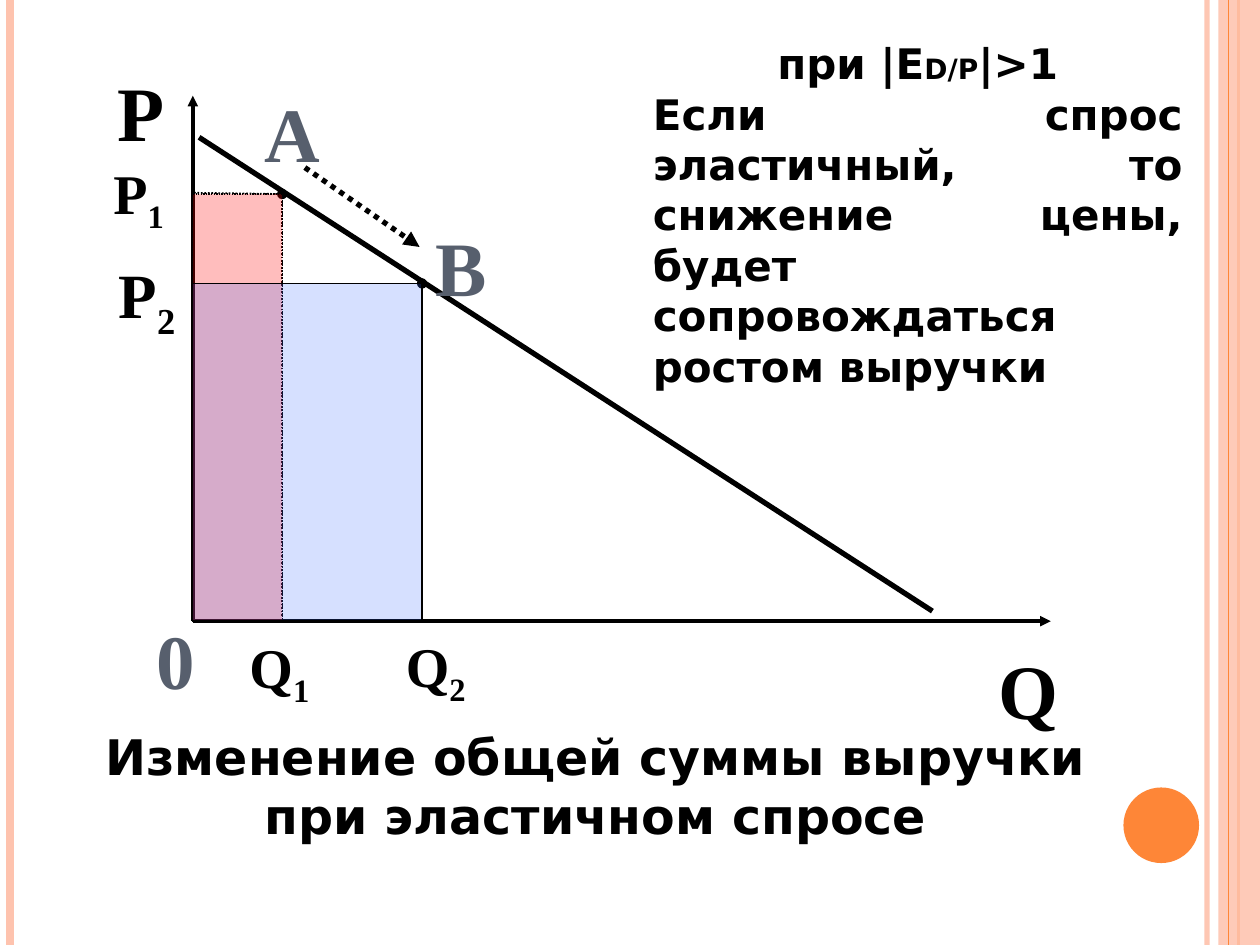
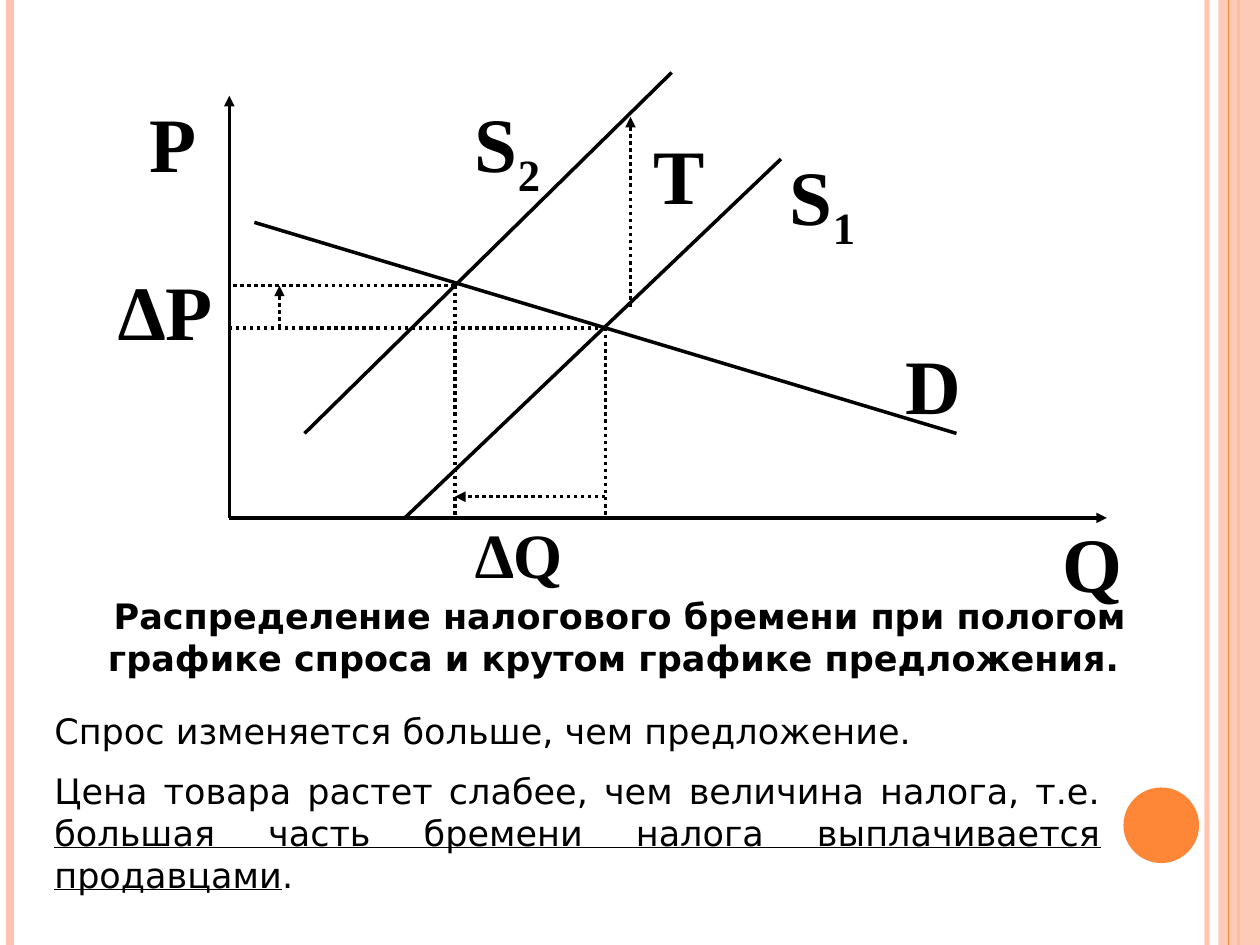
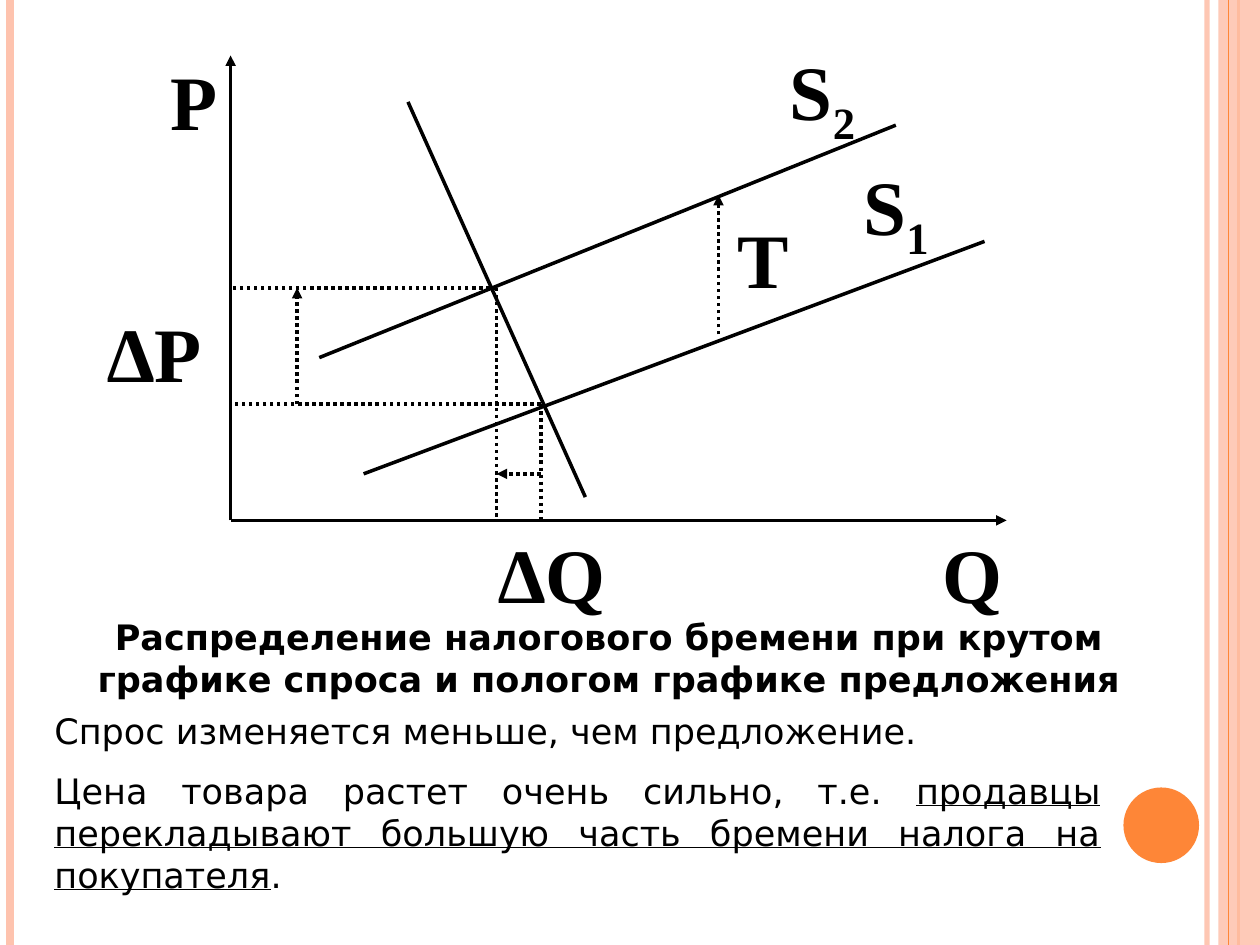
"""Build three slides on demand elasticity and the tax burden."""
from dataclasses import dataclass
from typing import NamedTuple, Optional

from lxml.etree import SubElement
from pptx import Presentation
from pptx.dml.color import RGBColor
from pptx.enum.dml import MSO_LINE
from pptx.enum.shapes import MSO_CONNECTOR, MSO_SHAPE
from pptx.enum.text import MSO_ANCHOR, PP_ALIGN
from pptx.oxml.ns import qn
from pptx.util import Inches, Pt

BLACK = RGBColor(0x00, 0x00, 0x00)
SLATE = RGBColor(0x57, 0x5F, 0x6D)
PEACH = RGBColor(0xFE, 0xC3, 0xAE)
ORANGE = RGBColor(0xFE, 0x86, 0x37)
RED = RGBColor(0xFF, 0x00, 0x00)
BLUE = RGBColor(0x33, 0x66, 0xFF)
BODY_FONT = "DejaVu Sans"
LABEL_FONT = "Times New Roman"
SLIDE_WIDTH = Inches(10)
SLIDE_HEIGHT = Inches(7.5)
COLUMNS, ROWS = 120, 90


@dataclass(frozen=True)
class Grid:
    """A grid with its origin and the inches taken by one column and one row."""
    left: float
    top: float
    column: float
    row: float

    def point(self, column: float, row: float) -> tuple:
        """Return the place of a grid crossing."""
        return Inches(self.left + column * self.column), Inches(self.top + row * self.row)


class Stroke(NamedTuple):
    """The look of a line."""
    width: float
    color: RGBColor = BLACK
    dotted: bool = False
    tail: Optional[str] = None
    opacity: int = 100


class Segment(NamedTuple):
    """A straight line between two grid crossings."""
    start: tuple
    end: tuple
    stroke: Stroke


class Piece(NamedTuple):
    """A stretch of text with one format."""
    text: str
    size: float
    bold: bool = False
    underline: bool = False
    subscript: bool = False
    color: RGBColor = BLACK
    font: str = BODY_FONT


class Label(NamedTuple):
    """A letter beside the graph, with an optional subscript."""
    box: tuple
    letter: str
    index: str = ""
    size: float = 44
    color: RGBColor = BLACK


class Area(NamedTuple):
    """A revenue rectangle spanned from the graph's origin."""
    quantity: float
    price: float
    color: RGBColor
    opacity: int
    outline: Stroke


class Graph(NamedTuple):
    """The lines and letters of one graph."""
    grid: Grid
    segments: list
    labels: list
    label_align: PP_ALIGN = PP_ALIGN.LEFT


PAGE = Grid(0, 0, 10 / COLUMNS, 7.5 / ROWS)
AXIS = Stroke(2, tail="triangle")
CURVE = Stroke(2)
DEMAND = Stroke(3)
GUIDE = Stroke(2, dotted=True)
SHIFT = Stroke(2, dotted=True, tail="triangle")
MOVE = Stroke(3, dotted=True, tail="triangle")
FINE_GUIDE = Stroke(1, dotted=True)
FINE_POINT = Stroke(1, dotted=True, tail="oval")

BORDERS = [
    (0.958, Stroke(3, PEACH, opacity=93)),
    (0.008, Stroke(4.5, PEACH)),
    (0.983, Stroke(1.5, ORANGE)),
]
INNER_BORDER = (0.975, Stroke(0.75, ORANGE))

REVENUE_GRAPH = Graph(
    Grid(1.53, 4.93, 0.1, -0.1),
    [
        Segment((0, 26.8), (18.2, 26.8), FINE_POINT),
        Segment((18.2, 26.8), (18.2, 0.8), FINE_GUIDE),
        Segment((8.9, 36), (18, 29.7), MOVE),
        Segment((0, 0), (0, 41.7), AXIS),
        Segment((0, 0), (68.1, 0), AXIS),
        Segment((0.5, 38.4), (58.7, 0.8), DEMAND),
        Segment((0.1, 34), (7.1, 33.9), FINE_POINT),
        Segment((7.1, 33.9), (7.1, 0.4), FINE_GUIDE),
    ],
    [
        Label((10, 24.25, 8, 7.5), "P", "2", 36),
        Label((38, 60, 7, 7.5), "Q", "2", 32),
        Label((41.25, 20.75, 4.3, 7.5), "B", color=SLATE),
        Label((25, 8, 4.3, 7.5), "A", color=SLATE),
        Label((11, 6, 4.3, 7.5), "P"),
        Label((10, 15, 6.4, 7.5), "P", "1", 32),
        Label((14.6, 58.2, 4.3, 7.5), "0", color=SLATE),
        Label((23.2, 60.1, 6.8, 7.5), "Q", "1", 32),
        Label((94.9, 61.1, 4.3, 7.5), "Q"),
    ],
    PP_ALIGN.CENTER,
)
REVENUE_AREAS = [
    Area(7.1, 33.9, RED, 26, Stroke(0.75, dotted=True)),
    Area(18.2, 26.8, BLUE, 20, Stroke(0.75)),
]


def tax_segments(before: tuple, after: tuple, tax: tuple, price_column: float,
                 quantity_row: float, axes: tuple, curves: list) -> list:
    """Return the axes, the curves and the dotted shifts of a tax graph."""
    quantity_before, price_before = before
    quantity_after, price_after = after
    tax_column, tax_bottom, tax_top = tax
    axis_columns, axis_rows = axes
    return [
        Segment((0, 0), (axis_columns, 0), AXIS),
        Segment((0, 0), (0, axis_rows), AXIS),
        *(Segment(start, end, CURVE) for start, end in curves),
        Segment(after, (0, price_after), GUIDE),
        Segment(before, (0, price_before), GUIDE),
        Segment((tax_column, tax_bottom), (tax_column, tax_top), SHIFT),
        Segment((price_column, price_before), (price_column, price_after), SHIFT),
        Segment(after, (quantity_after, 0), GUIDE),
        Segment(before, (quantity_before, 0), GUIDE),
        Segment((quantity_before, quantity_row), (quantity_after, quantity_row), SHIFT),
    ]


FLAT_DEMAND_GRAPH = Graph(
    Grid(1.82, 4.11, 0.199, -0.1675),
    tax_segments((15, 9), (9, 11), (16, 10, 19), 2, 1, (35, 20),
                 [((7, 0), (22, 17)), ((3, 4), (17.64, 21.1)), ((1, 14), (29, 4))]),
    [
        Label((62, 12, 6, 7.2), "T"),
        Label((14, 9, 4.8, 6), "P"),
        Label((11, 25, 12.8, 6), "∆P"),
        Label((45, 49, 16, 6), "∆Q", size=36),
        Label((75, 14, 7.2, 6), "S", "1"),
        Label((45, 9, 7.2, 6), "S", "2"),
        Label((86, 32, 7.2, 6), "D"),
        Label((101, 49, 10.8, 6), "Q"),
    ],
)
STEEP_DEMAND_GRAPH = Graph(
    Grid(1.83, 4.13, 0.352, -0.1845),
    tax_segments((7, 5), (6, 10), (11, 8, 14), 1.5, 2, (17.5, 20),
                 [((4, 18), (8, 1)), ((3, 2), (17, 12)), ((2, 7), (15, 17))]),
    [
        Label((75, 4, 12, 5.4), "S", "2"),
        Label((82, 15, 8.8, 4.4), "S", "1"),
        Label((70, 20, 6.4, 4.4), "T"),
        Label((89.5, 50, 6.4, 4.4), "Q"),
        Label((16, 5, 4.2, 4.4), "P"),
        Label((10, 29, 10, 4.4), "∆P"),
        Label((47.25, 50, 11.8, 4.4), "∆Q"),
    ],
)


def set_opacity(fill_parent, opacity: int) -> None:
    """Make the solid fill below an element partly transparent."""
    if opacity < 100:
        color = fill_parent.find(qn("a:solidFill"))[0]
        SubElement(color, qn("a:alpha"), val=str(opacity * 1000))


def style_line(line, stroke: Stroke) -> None:
    """Give a line its colour, width, dots and arrowhead."""
    line.color.rgb = stroke.color
    line.width = Pt(stroke.width)
    if stroke.dotted:
        line.dash_style = MSO_LINE.ROUND_DOT
    element = line._get_or_add_ln()
    set_opacity(element, stroke.opacity)
    if stroke.tail:
        SubElement(element, qn("a:tailEnd"), type=stroke.tail)


def draw_line(slide, start: tuple, end: tuple, stroke: Stroke) -> None:
    """Draw a straight line without a shadow."""
    connector = slide.shapes.add_connector(MSO_CONNECTOR.STRAIGHT, *start, *end)
    style_line(connector.line, stroke)
    SubElement(connector._element.spPr, qn("a:effectLst"))


def draw_shape(slide, kind: MSO_SHAPE, box: tuple, color: RGBColor, opacity: int = 100,
               outline: Optional[Stroke] = None) -> None:
    """Draw a filled preset shape."""
    shape = slide.shapes.add_shape(kind, *box)
    shape.shadow.inherit = False
    shape.fill.solid()
    shape.fill.fore_color.rgb = color
    set_opacity(shape._element.spPr, opacity)
    if outline:
        style_line(shape.line, outline)
    else:
        shape.line.fill.background()


def draw_text(slide, box: tuple, paragraphs: list, alignments: list,
              margins: tuple = (0.1, 0.05), space_before: float = 0) -> None:
    """Draw a wrapped text box placed in page columns and rows."""
    left, top, width, height = box
    text_box = slide.shapes.add_textbox(*PAGE.point(left, top), *PAGE.point(width, height))
    frame = text_box.text_frame
    frame.word_wrap = True
    frame.vertical_anchor = MSO_ANCHOR.TOP
    frame.margin_left = frame.margin_right = Inches(margins[0])
    frame.margin_top = frame.margin_bottom = Inches(margins[1])
    for number, (pieces, alignment) in enumerate(zip(paragraphs, alignments)):
        paragraph = frame.add_paragraph() if number else frame.paragraphs[0]
        paragraph.alignment = alignment
        if number:
            paragraph.space_before = Pt(space_before)
        for piece in pieces:
            run = paragraph.add_run()
            run.text = piece.text
            run.font.name = piece.font
            run.font.size = Pt(piece.size)
            run.font.bold = piece.bold
            run.font.underline = piece.underline
            run.font.color.rgb = piece.color
            if piece.subscript:
                run.font._element.set("baseline", "-25000")


def draw_border(slide, share: float, stroke: Stroke) -> None:
    """Draw a full-height line at a share of the slide's width."""
    left = int(SLIDE_WIDTH * share)
    draw_line(slide, (left, 0), (left, SLIDE_HEIGHT), stroke)


def add_framed_slide(presentation):
    """Add a blank slide with the side bands and the orange disc."""
    slide = presentation.slides.add_slide(presentation.slide_layouts[6])
    for share, stroke in BORDERS:
        draw_border(slide, share, stroke)
    band_left = int(SLIDE_WIDTH * 0.967)
    draw_shape(slide, MSO_SHAPE.RECTANGLE,
               (band_left, 0, SLIDE_WIDTH - band_left, SLIDE_HEIGHT), PEACH, 87)
    draw_border(slide, *INNER_BORDER)
    draw_shape(slide, MSO_SHAPE.OVAL, (*PAGE.point(107, 75), Inches(0.6), Inches(0.6)), ORANGE)
    return slide


def draw_graph(slide, graph: Graph) -> None:
    """Draw the lines of a graph and then its letters."""
    for segment in graph.segments:
        draw_line(slide, graph.grid.point(*segment.start), graph.grid.point(*segment.end),
                  segment.stroke)
    for label in graph.labels:
        pieces = [Piece(label.letter, label.size, True, color=label.color, font=LABEL_FONT)]
        if label.index:
            pieces.append(pieces[0]._replace(text=label.index, subscript=True))
        draw_text(slide, label.box, [pieces], [graph.label_align], (0.02, 0.01))


def add_revenue_slide(presentation) -> None:
    """Add the slide on revenue under elastic demand."""
    slide = add_framed_slide(presentation)
    draw_graph(slide, REVENUE_GRAPH)
    draw_text(slide, (6.1, 68.6, 101.2, 12.5),
              [[Piece("Изменение общей суммы выручки при эластичном спросе", 28, True)]],
              [PP_ALIGN.CENTER])
    for area in REVENUE_AREAS:
        left, top = REVENUE_GRAPH.grid.point(0, area.price)
        right, bottom = REVENUE_GRAPH.grid.point(area.quantity, 0)
        draw_shape(slide, MSO_SHAPE.RECTANGLE, (left, top, right - left, bottom - top),
                   area.color, area.opacity, area.outline)
    condition = [Piece("при |E", 24, True), Piece("D/P", 16, True), Piece("|>1", 24, True)]
    conclusion = [Piece("Если спрос эластичный, то снижение цены, будет сопровождаться "
                        "ростом выручки ", 24, True)]
    draw_text(slide, (61, 3, 52.8, 35.2), [condition, conclusion],
              [PP_ALIGN.CENTER, PP_ALIGN.JUSTIFY])


def add_tax_slide(presentation, graph: Graph, title_box: tuple, title: str,
                  demand: str, price: str, burden: str) -> None:
    """Add a slide on how a tax is shared by buyers and sellers."""
    slide = add_framed_slide(presentation)
    draw_graph(slide, graph)
    draw_text(slide, title_box, [[Piece(title, 20, True)]], [PP_ALIGN.CENTER])
    draw_text(slide, (4, 67, 102, 19.4),
              [[Piece(demand, 20)],
               [Piece(price, 20), Piece(burden, 20, underline=True), Piece(". ", 20)]],
              [PP_ALIGN.JUSTIFY] * 2, space_before=10)


def main() -> None:
    """Build and save the presentation."""
    presentation = Presentation()
    presentation.slide_width = SLIDE_WIDTH
    presentation.slide_height = SLIDE_HEIGHT
    add_revenue_slide(presentation)
    add_tax_slide(
        presentation, FLAT_DEMAND_GRAPH, (8, 56, 102.1, 9.3),
        "Распределение налогового бремени при пологом графике спроса и крутом "
        "графике предложения. ",
        "Спрос изменяется больше, чем предложение. ",
        "Цена товара растет слабее, чем величина налога, т.е. ",
        "большая часть бремени налога выплачивается продавцами")
    add_tax_slide(
        presentation, STEEP_DEMAND_GRAPH, (2, 58, 112, 9.3),
        "Распределение налогового бремени при крутом графике спроса и пологом "
        "графике предложения",
        "Спрос изменяется меньше, чем предложение. ",
        "Цена товара растет очень сильно, т.е. ",
        "продавцы перекладывают большую часть бремени налога на покупателя")
    presentation.save("out.pptx")


if __name__ == "__main__":
    main()
